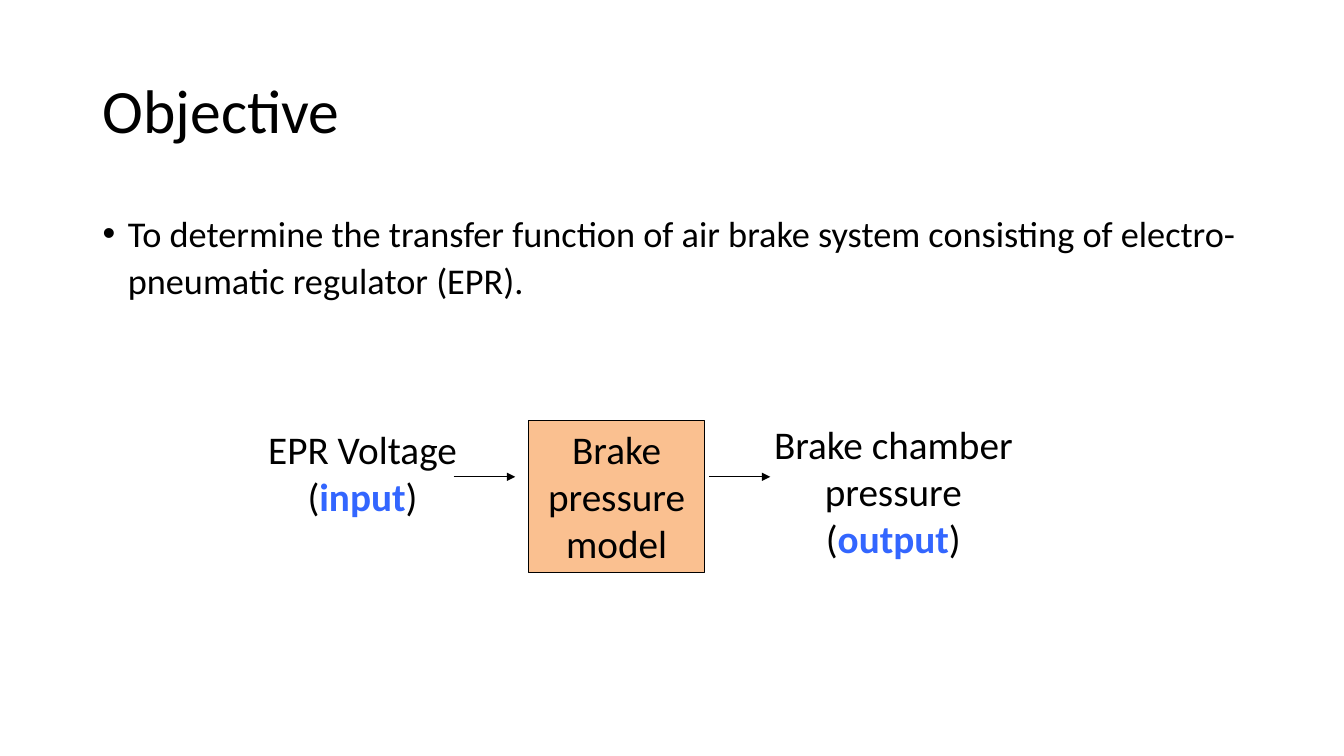
from lxml import etree
from pptx import Presentation
from pptx.dml.color import RGBColor
from pptx.enum.shapes import MSO_CONNECTOR, MSO_SHAPE
from pptx.enum.text import MSO_ANCHOR, PP_ALIGN
from pptx.oxml.ns import qn
from pptx.util import Inches, Pt

FONT = "Calibri"
BLACK, BLUE, ORANGE = "000000", "3366FF", "FAC090"
LEFT, WIDTH = 0.92, 11.5
TITLE = "Objective"
GOAL = ("To determine the transfer function of air brake system consisting "
        "of electro-pneumatic regulator (EPR).")
MODEL = ("Brake pressure model", (5.24, 4.17, 1.75, 1.51))
SIGNALS = [
    ("EPR Voltage", "input", (2.42, 4.17, 2.35, 1.09)),
    ("Brake chamber pressure", "output", (7.37, 4.12, 2.98, 1.32)),
]
ARROW_STARTS = (4.5, 7.03)
ARROW_LENGTH, ARROW_Y = 0.61, 4.73
SIDE_INSET = 0.15


def color(value):
    return RGBColor.from_string(value)


def add_box(page, place):
    box = page.shapes.add_textbox(*map(Inches, place))
    box.text_frame.word_wrap = True
    return box


def write(box, spans, size):
    """Fill the first paragraph with (text, color, bold) spans."""
    para = box.text_frame.paragraphs[0]
    para.font.name, para.font.size = FONT, Pt(size)
    for text, tint, bold in spans:
        span = para.add_run()
        span.text = text
        span.font.name, span.font.size = FONT, Pt(size)
        span.font.color.rgb, span.font.bold = color(tint), bold
    return para


def write_label(box, spans):
    box.text_frame.vertical_anchor = MSO_ANCHOR.TOP
    para = write(box, spans, 28)
    para.alignment, para.space_after = PP_ALIGN.CENTER, Pt(10)


def add_heading(page):
    title = add_box(page, (LEFT, 0.4, WIDTH, 1.45))
    title.text_frame.vertical_anchor = MSO_ANCHOR.MIDDLE
    write(title, [(TITLE, BLACK, False)], 44).line_spacing = 0.9

    goal = write(add_box(page, (LEFT, 2, WIDTH, 1.13)), [(GOAL, BLACK, False)], 25.9)
    goal.line_spacing, goal.space_before = 1.1, Pt(10)
    properties = goal._p.get_or_add_pPr()
    properties.set("marL", str(Inches(0.25)))
    properties.set("indent", str(Inches(-0.25)))
    bullet_font = etree.Element(qn("a:buFont"), typeface="Arial")
    bullet = etree.Element(qn("a:buChar"), char="•")
    defaults = properties.find(qn("a:defRPr"))
    for element in (bullet_font, bullet):
        defaults.addprevious(element)


def add_model(page):
    text, place = MODEL
    block = page.shapes.add_shape(MSO_SHAPE.RECTANGLE, *map(Inches, place))
    block.shadow.inherit = False
    block.fill.solid()
    block.fill.fore_color.rgb = color(ORANGE)
    block.line.color.rgb, block.line.width = color(BLACK), Pt(0.75)
    block.text_frame.word_wrap = True
    write_label(block, [(text, BLACK, False)])


def add_arrow(page, start):
    arrow = page.shapes.add_connector(
        MSO_CONNECTOR.STRAIGHT,
        *map(Inches, (start, ARROW_Y, start + ARROW_LENGTH, ARROW_Y)))
    arrow.line.color.rgb, arrow.line.width = color(BLACK), Pt(0.75)
    etree.SubElement(arrow.line._get_or_add_ln(), qn("a:tailEnd"), type="triangle")
    etree.SubElement(arrow._element.spPr, qn("a:effectLst"))


def add_signal(page, name, role, place):
    box = add_box(page, place)
    box.text_frame.margin_left = box.text_frame.margin_right = Inches(SIDE_INSET)
    write_label(box, [(f"{name} (", BLACK, False), (role, BLUE, True), (")", BLACK, False)])


def main():
    deck = Presentation()
    deck.slide_width, deck.slide_height = Inches(13.33), Inches(7.5)
    page = deck.slides.add_slide(deck.slide_layouts[6])
    add_heading(page)
    add_model(page)
    for start in ARROW_STARTS:
        add_arrow(page, start)
    for signal in SIGNALS:
        add_signal(page, *signal)
    deck.save("out.pptx")


if __name__ == "__main__":
    main()
